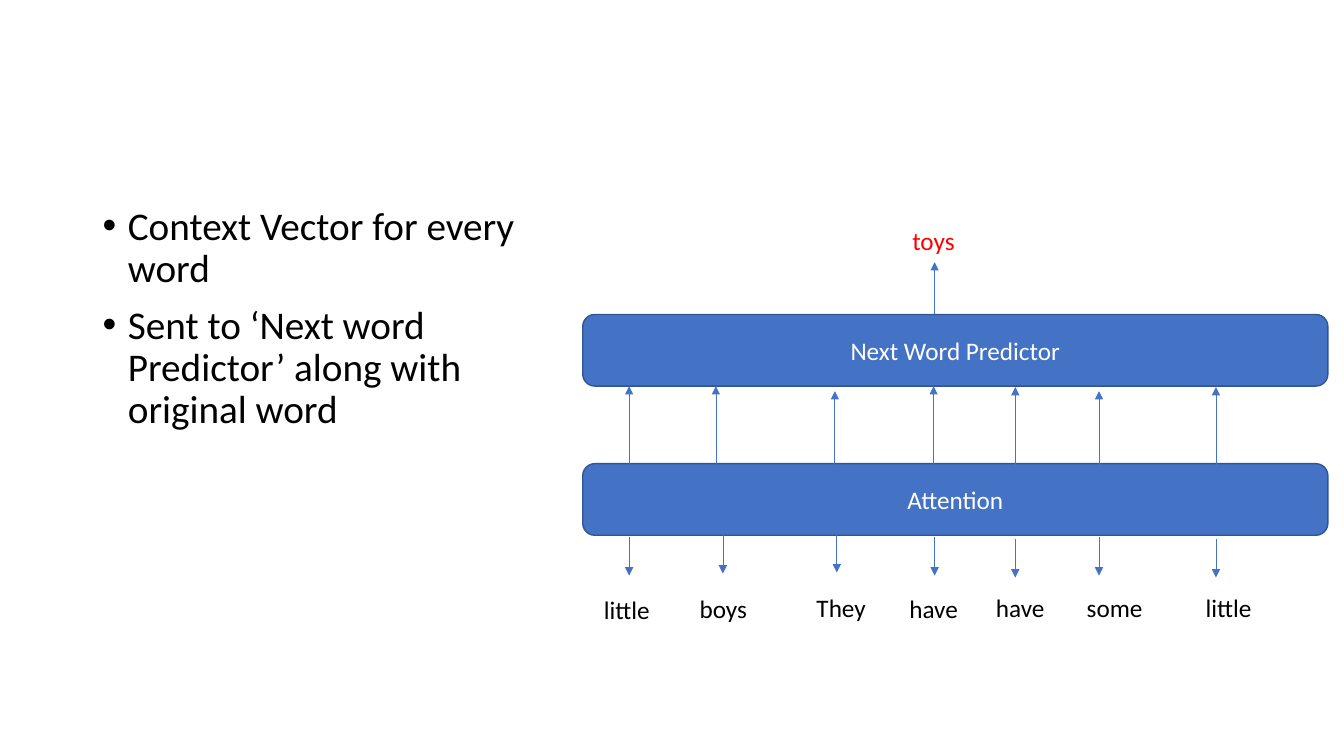
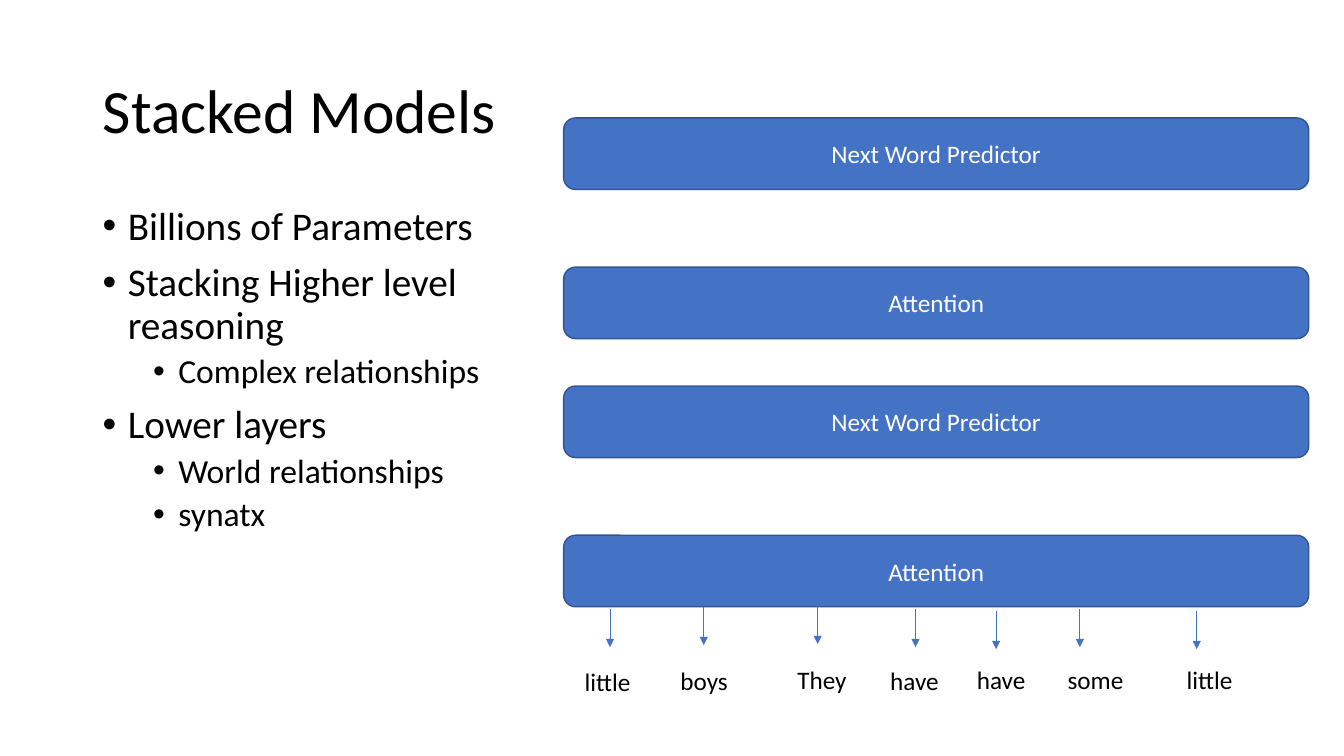
from typing import NamedTuple

from lxml import etree
from pptx import Presentation
from pptx.dml.color import RGBColor
from pptx.enum.shapes import MSO_CONNECTOR, MSO_SHAPE
from pptx.enum.text import MSO_ANCHOR, MSO_AUTO_SIZE, PP_ALIGN
from pptx.oxml.ns import qn
from pptx.util import Pt

PX = 9144  # EMU per px, 100 px to the inch
SLIDE_WIDTH, SLIDE_HEIGHT = 1333, 750
TITLE_ONLY, BLANK = 5, 6

FONT = "Calibri"
BLACK = RGBColor(0x00, 0x00, 0x00)
WHITE = RGBColor(0xFF, 0xFF, 0xFF)
RED = RGBColor(0xFF, 0x00, 0x00)
BLUE = RGBColor(0x44, 0x72, 0xC4)
DARK_BLUE = RGBColor(0x32, 0x54, 0x91)

LAYER_WIDTH, LAYER_HEIGHT = 739, 71
LAYER_PITCH = 148  # from a predictor's top to the top of its attention layer
DOWN_LENGTH, UP_LENGTH = 38, 77
LABEL_HEIGHT = 40
TOYS_X = 349


class Word(NamedTuple):
    """A word under the attention layer; x values count from the layer's left."""
    text: str
    label_x: int
    label_width: int
    label_gap: int
    down_x: int
    down_gap: int
    up_x: int
    up_shift: int


WORDS = [
    Word("little", 11, 67, 54, 46, 2, 46, 0),
    Word("boys", 106, 68, 53, 139, 0, 132, 0),
    Word("They", 222, 70, 52, 252, -1, 250, 5),
    Word("have", 314, 69, 53, 349, 2, 348, 0),
    Word("have", 400, 69, 52, 429, 4, 429, 1),
    Word("some", 490, 76, 52, 512, 2, 512, 5),
    Word("little", 608, 67, 52, 628, 4, 628, 1),
]

# Per level: text size, space before, left indent in px
BULLET_LEVELS = [(28, 10, 25), (24, 5, 75)]
HANGING = 25


def px(*lengths):
    return [length * PX for length in lengths]


def write(paragraph, text, size, color):
    run = paragraph.add_run()
    run.text = text
    run.font.color.rgb = color
    for name, value in {"name": FONT, "size": Pt(size)}.items():
        setattr(run.font, name, value)


def set_frame(frame, **format_values):
    for name, value in format_values.items():
        setattr(frame, name, value)


def add_title(slide, text, box):
    title = slide.shapes.title
    title.left, title.top, title.width, title.height = px(*box)
    set_frame(title.text_frame, vertical_anchor=MSO_ANCHOR.MIDDLE,
              auto_size=MSO_AUTO_SIZE.NONE, word_wrap=True)
    paragraph = title.text_frame.paragraphs[0]
    paragraph.alignment = PP_ALIGN.LEFT
    paragraph.line_spacing = 0.9
    write(paragraph, text, 44, BLACK)


def add_bullets(slide, items, box):
    """Place (level, text) items as a bulleted list."""
    frame = slide.shapes.add_textbox(*px(*box)).text_frame
    set_frame(frame, word_wrap=True)
    for index, (level, text) in enumerate(items):
        size, space_before, indent = BULLET_LEVELS[level]
        paragraph = frame.add_paragraph() if index else frame.paragraphs[0]
        paragraph.level = level
        paragraph.line_spacing = 0.9
        paragraph.space_before = Pt(space_before if index else 0)
        properties = paragraph._p.get_or_add_pPr()
        properties.set("marL", str(indent * PX))
        properties.set("indent", str(-HANGING * PX))
        etree.SubElement(properties, qn("a:buFont"), typeface="Arial")
        etree.SubElement(properties, qn("a:buChar"), char="•")
        write(paragraph, text, size, BLACK)


def add_layer(slide, text, left, top):
    layer = slide.shapes.add_shape(MSO_SHAPE.ROUNDED_RECTANGLE,
                                   *px(left, top, LAYER_WIDTH, LAYER_HEIGHT))
    layer.shadow.inherit = False
    layer.fill.solid()
    layer.fill.fore_color.rgb = BLUE
    layer.line.color.rgb = DARK_BLUE
    layer.line.width = Pt(1)
    set_frame(layer.text_frame, vertical_anchor=MSO_ANCHOR.MIDDLE, word_wrap=True)
    paragraph = layer.text_frame.paragraphs[0]
    paragraph.alignment = PP_ALIGN.CENTER
    write(paragraph, text, 18, WHITE)


def add_arrow(slide, x, start, end):
    """Draw a vertical arrow whose head is at end."""
    arrow = slide.shapes.add_connector(MSO_CONNECTOR.STRAIGHT, *px(x, start, x, end))
    arrow.line.color.rgb = BLUE
    arrow.line.width = Pt(0.5)
    etree.SubElement(arrow.line._get_or_add_ln(), qn("a:tailEnd"), type="triangle")
    etree.SubElement(arrow._element.spPr, qn("a:effectLst"))


def add_label(slide, text, left, top, width, color=BLACK):
    frame = slide.shapes.add_textbox(*px(left, top, width, LABEL_HEIGHT)).text_frame
    set_frame(frame, word_wrap=False, auto_size=MSO_AUTO_SIZE.SHAPE_TO_FIT_TEXT)
    write(frame.paragraphs[0], text, 18, color)


def add_model(slide, left, top):
    """Place a predictor layer above an attention layer."""
    add_layer(slide, "Attention", left, top + LAYER_PITCH)
    add_layer(slide, "Next Word Predictor", left, top)


def add_words(slide, left, top):
    """Place the words and their arrows below a model."""
    bottom = top + LAYER_PITCH + LAYER_HEIGHT
    for word in WORDS:
        start = bottom + word.down_gap
        add_arrow(slide, left + word.down_x, start, start + DOWN_LENGTH)
        add_label(slide, word.text, left + word.label_x, bottom + word.label_gap,
                  word.label_width)


def add_prediction(slide, left, top):
    """Place the arrows between a model's layers and the predicted word above."""
    for word in WORDS:
        start = top + LAYER_PITCH + word.up_shift
        add_arrow(slide, left + word.up_x, start, start - UP_LENGTH)
    add_arrow(slide, left + TOYS_X, top, top - 52)
    add_label(slide, "toys", left + 317, top - 93, 63, RED)


def build_context_slide(presentation):
    slide = presentation.slides.add_slide(presentation.slide_layouts[BLANK])
    add_bullets(slide, [
        (0, "Context Vector for every word"),
        (0, "Sent to ‘Next word Predictor’ along with original word"),
    ], (92, 200, 458, 476))
    model = (578, 312)
    add_model(slide, *model)
    add_words(slide, *model)
    add_prediction(slide, *model)


def build_stacked_slide(presentation):
    slide = presentation.slides.add_slide(presentation.slide_layouts[TITLE_ONLY])
    add_title(slide, "Stacked Models", (92, 40, 1150, 145))
    add_bullets(slide, [
        (0, "Billions of Parameters"),
        (0, "Stacking Higher level reasoning"),
        (1, "Complex relationships"),
        (0, "Lower layers"),
        (1, "World relationships"),
        (1, "synatx"),
    ], (92, 200, 394, 476))
    left, lower_top, upper_top = 559, 383, 117
    add_model(slide, left, lower_top)
    add_words(slide, left, lower_top)
    add_model(slide, left, upper_top)


def main():
    presentation = Presentation()
    presentation.slide_width, presentation.slide_height = px(SLIDE_WIDTH, SLIDE_HEIGHT)
    build_context_slide(presentation)
    build_stacked_slide(presentation)
    presentation.save("out.pptx")


if __name__ == "__main__":
    main()
